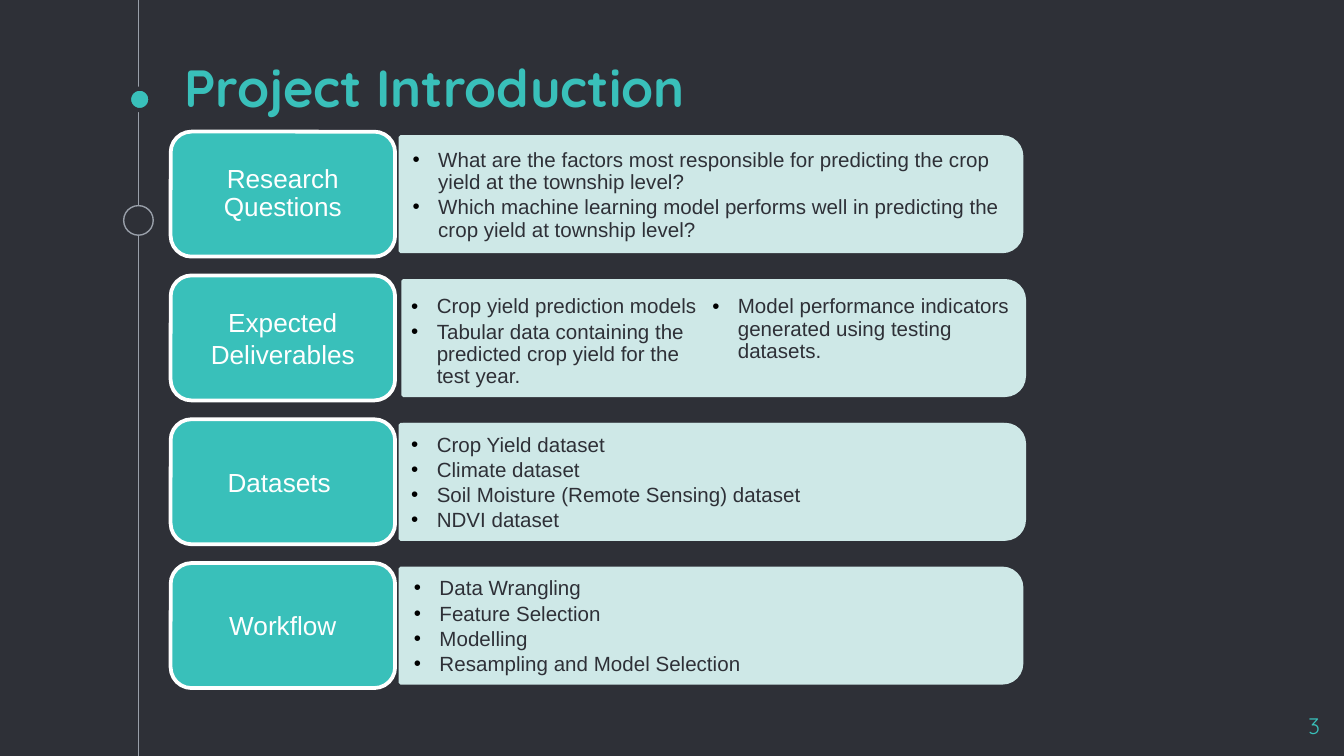
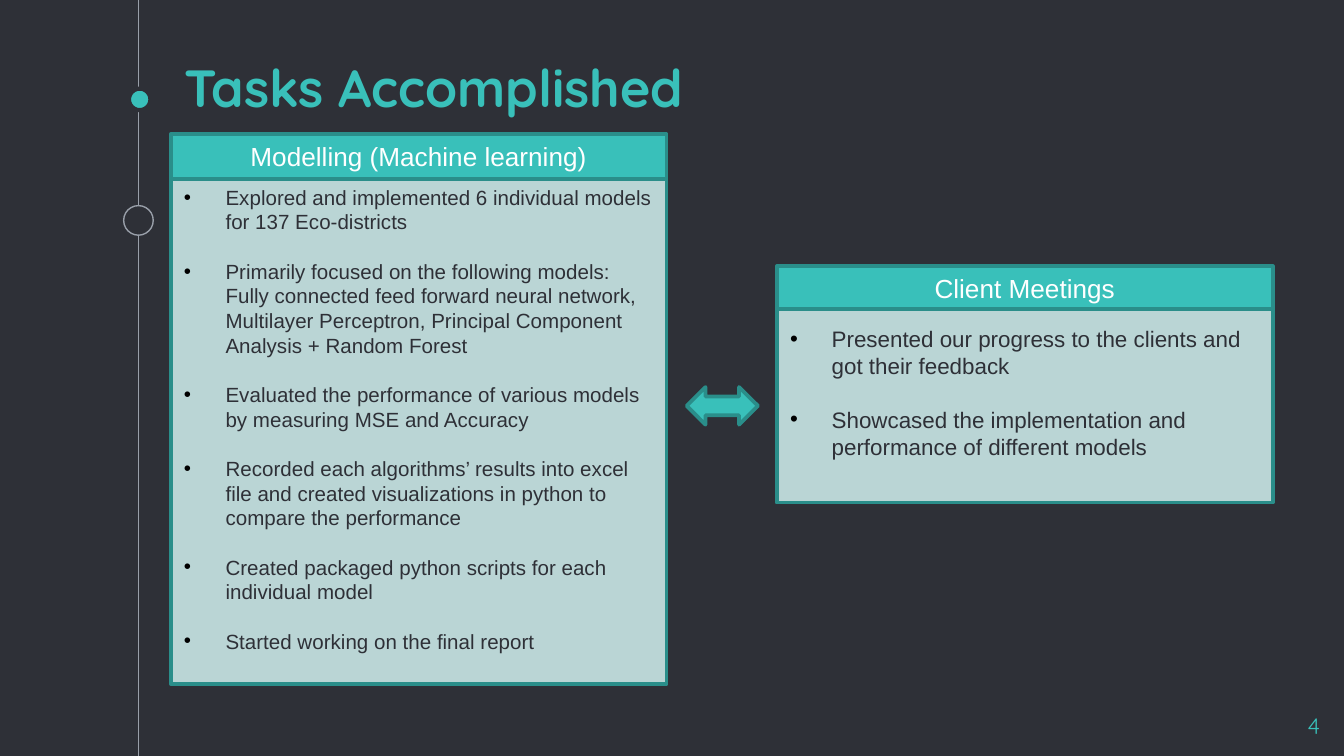
"""Builds the project introduction and accomplished tasks slides."""
from dataclasses import dataclass

from lxml import etree
from pptx import Presentation
from pptx.dml.color import RGBColor
from pptx.enum.shapes import MSO_CONNECTOR, MSO_SHAPE
from pptx.enum.text import MSO_ANCHOR, PP_ALIGN
from pptx.oxml.ns import qn
from pptx.util import Inches, Pt

OVAL, RECT, ROUND_RECT = MSO_SHAPE.OVAL, MSO_SHAPE.RECTANGLE, MSO_SHAPE.ROUNDED_RECTANGLE
PANEL, ARROW = MSO_SHAPE.ROUND_2_SAME_RECTANGLE, MSO_SHAPE.LEFT_RIGHT_ARROW
STRAIGHT = MSO_CONNECTOR.STRAIGHT
LEFT, CENTER, RIGHT = PP_ALIGN.LEFT, PP_ALIGN.CENTER, PP_ALIGN.RIGHT
TOP, MIDDLE, BOTTOM = MSO_ANCHOR.TOP, MSO_ANCHOR.MIDDLE, MSO_ANCHOR.BOTTOM

DARK, TEAL, DEEP_TEAL, GREY = "2E3037", "39C0BA", "2A8E8A", "999FA9"
WHITE, BLACK, PALE, MIST = "FFFFFF", "000000", "CEE8E7", "BAD5D5"
BODY_FONT, HEAD_FONT = "Arial", "Quicksand"
LINE_HEIGHT = 1.2
ROW_TOP, ROW_PITCH, LABEL_W, LABEL_H = 0.98, 1.07, 1.67, 0.93
PANEL_W, PANEL_H, CARD_W = 4.62, 0.85, 3.69


@dataclass
class Row:
    """A label with its panels and bullet list."""
    label: str
    panel_lefts: tuple[float, ...]
    text_left: float
    items: list[str]
    columns: int = 1
    label_spacing: float = 1.0
    text_drop: float = 0.02


@dataclass
class Card:
    """A headed box of bullets."""
    left: float
    top: float
    head_h: float
    body_h: float
    size: int
    head: str
    items: list[str]


ROWS = [
    Row("Research Questions", (2.98,), 3.02, [
        "What are the factors most responsible for predicting the crop yield at the township level?",
        "Which machine learning model performs well in predicting the crop yield at township level?",
    ], label_spacing=0.9),
    Row("Expected Deliverables", (3.0,), 3.01, [
        "Crop yield prediction models",
        "Tabular data containing the predicted crop yield for the test year.",
        "Model performance indicators generated using testing datasets.",
    ], columns=2, text_drop=0.04),
    Row("Datasets ", (3.0, 2.98), 3.01, [
        "Crop Yield dataset", "Climate dataset",
        "Soil Moisture (Remote Sensing) dataset", "NDVI dataset",
    ]),
    Row("Workflow", (2.98,), 3.03, [
        "Data Wrangling", "Feature Selection", "Modelling",
        "Resampling and Model Selection",
    ]),
]

CARDS = [
    Card(1.27, 1.0, 0.33, 3.76, 11, "Modelling (Machine learning)", [
        "Explored and implemented 6 individual models for 137 Eco-districts",
        "Primarily focused on the following models: Fully connected feed forward neural network, "
        "Multilayer Perceptron, Principal Component Analysis + Random Forest",
        "Evaluated the performance of various models by measuring MSE and Accuracy",
        "Recorded each algorithms’ results into excel file and created visualizations in python "
        "to compare the performance",
        "Created packaged python scripts for each individual model",
        "Started working on the final report",
    ]),
    Card(5.78, 1.98, 0.32, 1.44, 12, "Client Meetings", [
        "Presented our progress to the clients and got their feedback",
        "Showcased the implementation and performance of different models",
    ]),
]


def rgb(color: str) -> RGBColor:
    """Turn a hex string into a colour."""
    return RGBColor.from_string(color)


def add_box(s, kind, left: float, top: float, width: float, height: float,
            fill: str, line: str, weight: float = 2):
    """Add a filled, outlined shape without shadow."""
    sp = s.shapes.add_shape(kind, Inches(left), Inches(top), Inches(width), Inches(height))
    sp.shadow.inherit = False
    sp.fill.solid()
    sp.fill.fore_color.rgb = rgb(fill)
    sp.line.color.rgb = rgb(line)
    sp.line.width = Pt(weight)
    return sp


def set_frame(tf, anchor, side: float, top: float, bottom: float) -> None:
    """Set wrapping, anchor and insets of a text frame."""
    tf.word_wrap = True
    tf.vertical_anchor = anchor
    tf.margin_left = tf.margin_right = Inches(side)
    tf.margin_top, tf.margin_bottom = Inches(top), Inches(bottom)


def style(p, size: float, color: str, font: str = BODY_FONT, align=LEFT, bold: bool = False) -> None:
    """Format a paragraph and its runs."""
    p.alignment = align
    for r in p.runs:
        r.font.size, r.font.name, r.font.bold = Pt(size), font, bold
        r.font.color.rgb = rgb(color)


def add_bullet(p, indent: float) -> None:
    """Give a paragraph a black hanging bullet."""
    pPr = p._p.get_or_add_pPr()
    pPr.set("marL", str(Inches(indent)))
    pPr.set("indent", str(-Inches(indent)))
    color = etree.SubElement(pPr, qn("a:buClr"))
    etree.SubElement(color, qn("a:srgbClr"), val=BLACK)
    etree.SubElement(pPr, qn("a:buFont"), typeface=BODY_FONT)
    etree.SubElement(pPr, qn("a:buChar"), char="•")


def fill_list(tf, items: list[str], size: float, indent: float, gap: float, spacing: float = 1.0) -> None:
    """Write a bulleted list with a gap in points between items."""
    tf.text = "\n".join(items)
    for p in tf.paragraphs:
        style(p, size, DARK)
        p.line_spacing = spacing
        p.space_after = Pt(gap)
        add_bullet(p, indent)


def start_slide(prs, title: str, number: int):
    """Add a slide with the timeline, title and page number."""
    s = prs.slides.add_slide(prs.slide_layouts[5])
    line = s.shapes.add_connector(STRAIGHT, Inches(1.03), 0, Inches(1.03), prs.slide_height)
    line.line.color.rgb = rgb(GREY)
    line.line.width = Pt(0.75)
    etree.SubElement(line._element.spPr, qn("a:effectLst"))
    add_box(s, OVAL, 0.96, 0.66, 0.16, 0.16, TEAL, DARK, 2.25)
    add_box(s, OVAL, 0.92, 1.53, 0.22, 0.22, DARK, GREY, 0.75)

    sp = s.shapes.title
    sp.left, sp.top, sp.width, sp.height = Inches(1.27), Inches(0.6), Inches(7.5), Inches(0.38)
    sp.text_frame.text = title
    set_frame(sp.text_frame, BOTTOM, 0.1, 0.1, 0.1)
    style(sp.text_frame.paragraphs[0], 28, TEAL, HEAD_FONT, bold=True)

    tf = s.shapes.add_textbox(Inches(9.32), Inches(5.2), Inches(0.6), Inches(0.34)).text_frame
    tf.text = str(number)
    set_frame(tf, TOP, 0.1, 0.1, 0.1)
    style(tf.paragraphs[0], 12, TEAL, HEAD_FONT, RIGHT)
    return s


def add_panel(s, left: float, middle: float) -> None:
    """Add a panel rounded on its right side."""
    sp = add_box(s, PANEL, left + (PANEL_W - PANEL_H) / 2, middle - PANEL_W / 2,
                 PANEL_H, PANEL_W, PALE, PALE)
    sp.rotation = 90


def add_row(s, row: Row, top: float) -> None:
    """Draw one labelled row."""
    for left in row.panel_lefts:
        add_panel(s, left, top + LABEL_H / 2)
    label = add_box(s, ROUND_RECT, 1.27, top, LABEL_W, LABEL_H, TEAL, WHITE)
    tf = label.text_frame
    tf.text = row.label
    set_frame(tf, MIDDLE, 0.08, 0.04, 0.04)
    style(tf.paragraphs[0], 14, WHITE, align=CENTER)
    tf.paragraphs[0].line_spacing = row.label_spacing

    tf = s.shapes.add_textbox(Inches(row.text_left), Inches(top + row.text_drop),
                              Inches(4.58), Inches(0.91)).text_frame
    set_frame(tf, MIDDLE, 0.05, 0.02, 0.02)
    fill_list(tf, row.items, 11, 0.19, 1.65, 0.9)
    if row.columns > 1:
        tf._txBody.bodyPr.set("numCol", str(row.columns))


def add_card(s, card: Card) -> None:
    """Draw one headed card."""
    gap = card.size * LINE_HEIGHT
    body = add_box(s, RECT, card.left, card.top + card.head_h, CARD_W, card.body_h, MIST, DEEP_TEAL)
    set_frame(body.text_frame, MIDDLE, 0.1, 0.05, 0.05 + gap / 72)
    fill_list(body.text_frame, card.items, card.size, 0.31, gap)
    head = add_box(s, RECT, card.left, card.top, CARD_W, card.head_h, TEAL, DEEP_TEAL)
    head.text_frame.text = card.head
    set_frame(head.text_frame, MIDDLE, 0.1, 0.05, 0.05)
    style(head.text_frame.paragraphs[0], 14, WHITE, align=CENTER)


def main() -> None:
    """Build and save the presentation."""
    prs = Presentation()
    prs.slide_width = Inches(10)
    prs.slide_height = prs.slide_width * 9 // 16
    background = prs.slide_master.background.fill
    background.solid()
    background.fore_color.rgb = rgb(DARK)

    s = start_slide(prs, "Project Introduction", 3)
    for i, row in enumerate(ROWS):
        add_row(s, row, ROW_TOP + i * ROW_PITCH)

    s = start_slide(prs, "Tasks Accomplished", 4)
    for card in CARDS:
        add_card(s, card)
    add_box(s, ARROW, 5.11, 2.88, 0.53, 0.28, TEAL, DEEP_TEAL)

    prs.save("out.pptx")


if __name__ == "__main__":
    main()
